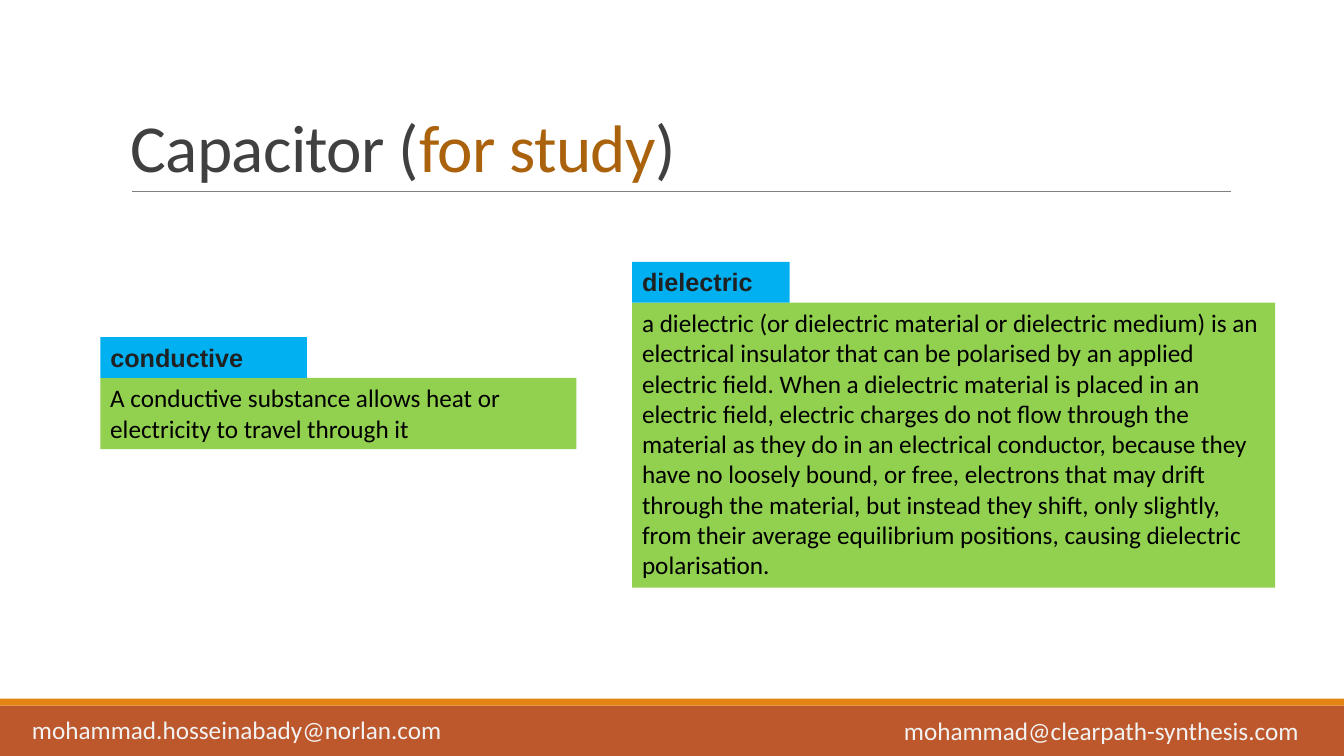
from lxml import etree
from pptx import Presentation
from pptx.dml.color import RGBColor
from pptx.enum import shapes, text
from pptx.oxml import ns
from pptx.util import Pt

COLOURS = {
    "band": "BD582C",
    "stripe": "E48312",
    "rule": "808080",
    "email": "F2F2F2",
    "title": "404040",
    "accent": "AB620D",
    "term_fill": "00B0F0",
    "term": "202122",
    "meaning_fill": "92D050",
    "meaning": "000000",
}
WIDTH, HEIGHT = 960, 540
TERM_HEIGHT = 29.1


def colour(name):
    return RGBColor.from_string(COLOURS[name])


def add_bar(slide, left, top, width, height, fill):
    bar = slide.shapes.add_shape(
        shapes.MSO_SHAPE.RECTANGLE, Pt(left), Pt(top), Pt(width), Pt(height))
    bar.shadow.inherit = False
    bar.fill.solid()
    bar.fill.fore_color.rgb = colour(fill)
    bar.line.fill.background()


def add_text(slide, left, top, width, height, runs, *, size=18, font="Calibri",
             bold=False, fill=None, anchor=text.MSO_ANCHOR.TOP,
             line_spacing=None, tracking=None):
    """Add one paragraph made of (wording, colour name) runs."""
    box = slide.shapes.add_textbox(Pt(left), Pt(top), Pt(width), Pt(height))
    if fill:
        box.fill.solid()
        box.fill.fore_color.rgb = colour(fill)
    frame = box.text_frame
    frame.word_wrap = True
    frame.vertical_anchor = anchor
    paragraph = frame.paragraphs[0]
    if line_spacing:
        paragraph.line_spacing = line_spacing
    for wording, ink in runs:
        run = paragraph.add_run()
        run.text = wording
        run.font.size = Pt(size)
        run.font.name = font
        run.font.bold = bold
        run.font.color.rgb = colour(ink)
        if tracking:
            run.font._element.set("spc", str(round(tracking * 100)))


def add_footer(slide, left, top, width, height):
    stripe_height = 5
    add_bar(slide, left, top + stripe_height, width, height - stripe_height, "band")
    add_bar(slide, left, top, width, stripe_height, "stripe")
    add_text(slide, left + 638.6, top + 8.7, 303.4, 29,
             [("mohammad@clearpath-synthesis.com", "email")])
    add_text(slide, left + 15.8, top + 8, 350.6, 29,
             [("mohammad.hosseinabady@norlan.com", "email")])


def add_heading(slide, left, top, width, height, runs):
    """Add the title, seated on the rule at the bottom of its box."""
    bottom = top + height
    rule = slide.shapes.add_connector(
        shapes.MSO_CONNECTOR.STRAIGHT,
        Pt(left + 7.9), Pt(bottom), Pt(left + width + 0.7), Pt(bottom))
    rule.line.color.rgb = colour("rule")
    rule.line.width = Pt(0.5)
    etree.SubElement(rule._element.spPr, ns.qn("a:effectLst"))
    add_text(slide, left, top, width, height, runs, size=48,
             anchor=text.MSO_ANCHOR.BOTTOM, line_spacing=0.85, tracking=-0.5)


def add_definition(slide, left, top, width, height, term, term_width, meaning):
    """Add a term tab on top of the panel that explains it."""
    add_text(slide, left, top + TERM_HEIGHT, width, height - TERM_HEIGHT,
             [(meaning, "meaning")], fill="meaning_fill")
    add_text(slide, left, top, term_width, TERM_HEIGHT, [(term, "term")],
             font="Arial", bold=True, fill="term_fill")


def main():
    deck = Presentation()
    deck.slide_width, deck.slide_height = Pt(WIDTH), Pt(HEIGHT)
    slide = deck.slides.add_slide(deck.slide_layouts[6])

    add_footer(slide, 0, 499, WIDTH, 41)
    add_heading(slide, 86.4, 22.3, 792, 114.3, [
        ("Capacitor (", "title"), ("for study", "accent"), (")", "title")])
    add_definition(
        slide, 451.5, 187, 459.3, 232.7, "dielectric", 112.5,
        "a dielectric (or dielectric material or dielectric medium) is an "
        "electrical insulator that can be polarised by an applied electric field. "
        "When a dielectric material is placed in an electric field, electric "
        "charges do not flow through the material as they do in an electrical "
        "conductor, because they have no loosely bound, or free, electrons that "
        "may drift through the material, but instead they shift, only slightly, "
        "from their average equilibrium positions, causing dielectric polarisation.")
    add_definition(
        slide, 71.7, 240.8, 340.1, 80, "conductive", 147.6,
        "A conductive substance allows heat or electricity to travel through it")

    deck.save("out.pptx")


if __name__ == "__main__":
    main()
